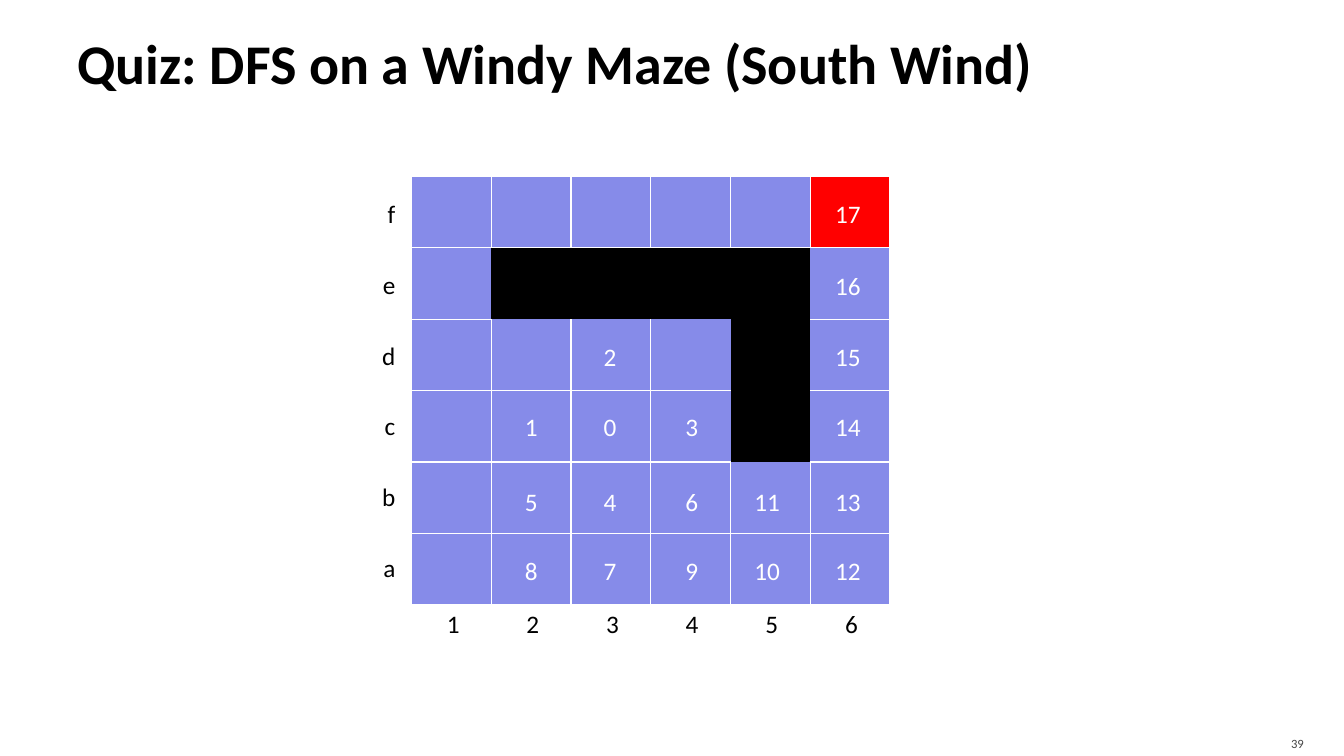
from lxml import etree
from pptx import Presentation
from pptx.dml.color import RGBColor
from pptx.enum.shapes import MSO_SHAPE as SHAPE
from pptx.enum.text import MSO_ANCHOR as ANCHOR, PP_ALIGN as ALIGN
from pptx.oxml.ns import qn
from pptx.util import Inches, Pt

COLORS = {"open": "868BE9", "wall": "000000", "goal": "FF0000",
          "white": "FFFFFF", "black": "000000", "grey": "454545"}
ROWS, COLS = "fedcba", "123456"
WALLS = {"e2", "e3", "e4", "e5", "d5", "c5"}
GOAL = "f6"
VISITS = "c3 c2 d3 c4 b3 b2 b4 a3 a2 a4 a5 b5 a6 b6 c6 d6 e6 f6".split()


def set_text(shape, text, size, color, align, anchor=ANCHOR.TOP,
             margins=(0.1, 0.05, 0.1, 0.05), wrap=True, bold=False):
    tf = shape.text_frame
    tf.word_wrap = wrap
    tf.vertical_anchor = anchor
    (tf.margin_left, tf.margin_top,
     tf.margin_right, tf.margin_bottom) = map(Inches, margins)
    p = tf.paragraphs[0]
    p.text = text
    p.alignment = align
    p.font.name = "Calibri"
    p.font.size = Pt(size)
    p.font.bold = bold
    p.font.color.rgb = RGBColor.from_string(COLORS[color])


def set_border(cell, side, visible):
    tcPr = cell._tc.get_or_add_tcPr()
    ln = etree.SubElement(tcPr, qn(f"a:ln{side}"), w=str(Pt(1)))
    if visible:
        fill = etree.SubElement(ln, qn("a:solidFill"))
        etree.SubElement(fill, qn("a:srgbClr"), val=COLORS["white"])
    else:
        etree.SubElement(ln, qn("a:noFill"))


prs = Presentation()
prs.slide_width, prs.slide_height = Inches(13.33), Inches(7.5)
s = prs.slides.add_slide(prs.slide_layouts[6])

# Maze: borders vanish beside walls, except under the top row
table = s.shapes.add_table(6, 6, Inches(4.08), Inches(1.75),
                           Inches(4.75), Inches(4.25)).table
for i in range(6):
    table.columns[i].width = Inches(4.75 / 6)
    table.rows[i].height = Inches(4.25 / 6)
names = {(r, c): row + col for r, row in enumerate(ROWS) for c, col in enumerate(COLS)}
for (r, c), name in names.items():
    cell = table.cell(r, c)
    sides = {"L": (r, c - 1), "R": (r, c + 1), "T": (r - 1, c), "B": (r + 1, c)}
    for side, neighbour in sides.items():
        beside_wall = name in WALLS or names.get(neighbour) in WALLS
        under_top_row = {r, neighbour[0]} == {0, 1}
        set_border(cell, side, under_top_row or not beside_wall)
    kind = "wall" if name in WALLS else "goal" if name == GOAL else "open"
    cell.fill.solid()
    cell.fill.fore_color.rgb = RGBColor.from_string(COLORS[kind])

# Title and slide number
title = s.shapes.add_textbox(Inches(0.67), Inches(0.08), Inches(12), Inches(1.08))
set_text(title, "Quiz: DFS on a Windy Maze (South Wind)", 40, "black", ALIGN.LEFT,
         ANCHOR.MIDDLE, (0.1, 0.05, 0.05, 0.05), bold=True)
number = s.shapes.add_textbox(Inches(11.96), Inches(7.2), Inches(1.07), Inches(0.3))
set_text(number, "39", 9, "grey", ALIGN.RIGHT, ANCHOR.MIDDLE, (0.1, 0.05, 0.1, 0))

# Order of visits
visit_left = dict(zip("23456", (5.06, 5.84, 6.65, 7.4, 8.2)))
visit_top = dict(zip(ROWS, (1.91, 2.62, 3.33, 4.02, 4.76, 5.45)))
for order, (row, col) in enumerate(VISITS):
    visit = s.shapes.add_shape(SHAPE.OVAL, Inches(visit_left[col]), Inches(visit_top[row]),
                               Inches(0.42), Inches(0.42))
    visit.shadow.inherit = False
    visit.fill.background()
    visit.line.fill.background()
    set_text(visit, str(order), 18, "white", ALIGN.CENTER, ANCHOR.MIDDLE,
             (0, 0, 0, 0), wrap=False)

# Row and column labels
for i, (row, col) in enumerate(zip(ROWS, COLS)):
    label = s.shapes.add_textbox(Inches(3.69), Inches(1.92 + 0.702 * i),
                                 Inches(0.33), Inches(0.4))
    set_text(label, row, 18, "black", ALIGN.RIGHT)
    label = s.shapes.add_textbox(Inches(4.33 + 0.79 * i), Inches(5.99),
                                 Inches(0.33), Inches(0.4))
    set_text(label, col, 18, "black", ALIGN.CENTER)

prs.save("out.pptx")
